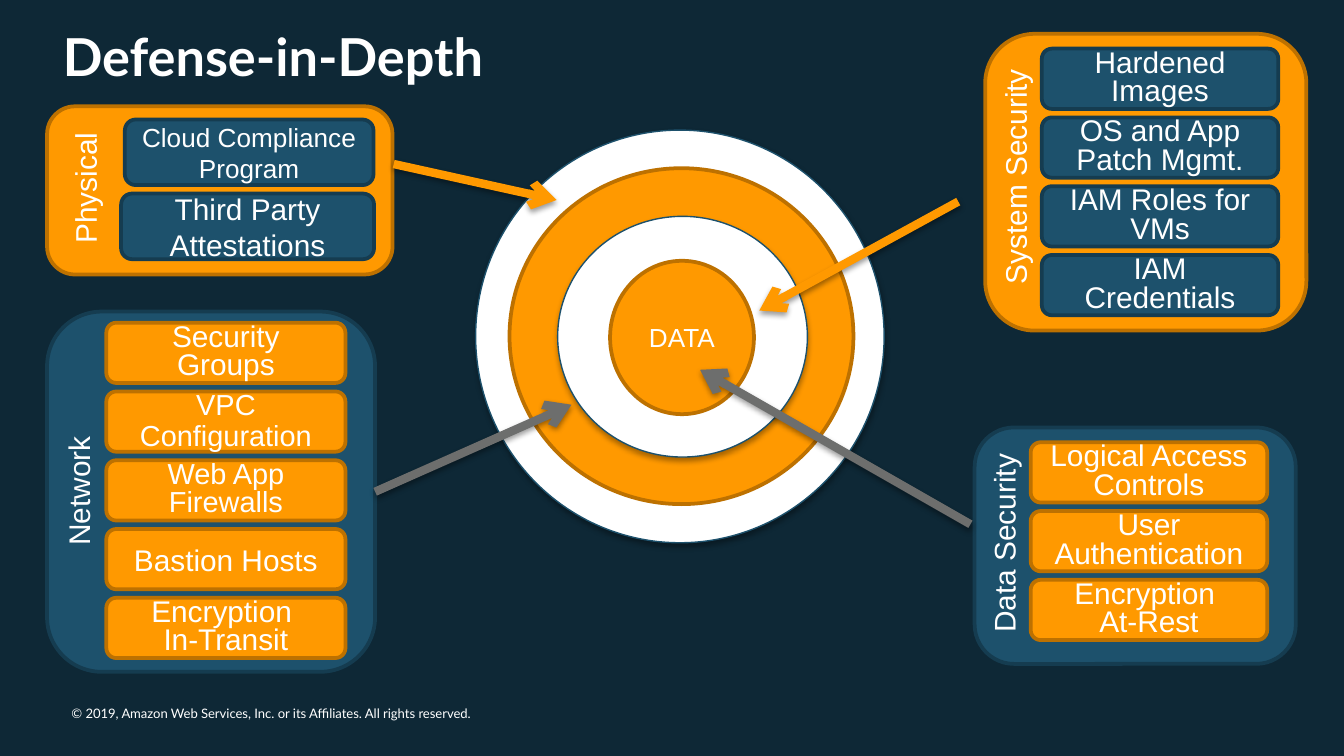
import pptx
import pptx.dml.color
import pptx.enum.shapes
import pptx.enum.text
import pptx.oxml
import pptx.oxml.ns
import pptx.util

Cm = pptx.util.Cm
SHAPE = pptx.enum.shapes.MSO_SHAPE
ANCHOR = pptx.enum.text.MSO_ANCHOR
ALIGN = pptx.enum.text.PP_ALIGN

WHITE = "FFFFFF"
GREY = "6D6E6D"
ORANGE = ("FF9900", "BD7100")
BLUE = ("1D516C", "153C50")
RING = (WHITE, "1D516C")


def rgb(value):
    return pptx.dml.color.RGBColor.from_string(value)


def write(tf, text, size=16, font="Arial", bold=False, align=ALIGN.CENTER,
          anchor=ANCHOR.MIDDLE, spacing=None, inset=None):
    """Fill a text frame; newlines start paragraphs, vertical tabs break lines."""
    tf.word_wrap = True
    tf.vertical_anchor = anchor
    if inset is not None:
        tf.margin_left = tf.margin_right = Cm(inset)
        tf.margin_top = tf.margin_bottom = Cm(inset)
    for i, line in enumerate(text.split("\n")):
        p = tf.add_paragraph() if i else tf.paragraphs[0]
        p.text = line
        p.alignment = align
        if spacing:
            p.line_spacing = spacing
        for r in p.runs:
            r.font.name = font
            r.font.size = pptx.util.Pt(size)
            r.font.bold = bold
            r.font.color.rgb = rgb(WHITE)


def add_shadow(sp, dist, alpha):
    """Give a shape or connector a soft shadow that falls straight down."""
    ns = pptx.oxml.ns.nsdecls("a")
    sp._element.spPr.append(pptx.oxml.parse_xml(
        f'<a:effectLst {ns}><a:outerShdw blurRad="{pptx.util.Pt(3.1)}" '
        f'dist="{pptx.util.Pt(dist)}" dir="5400000" rotWithShape="0">'
        f'<a:srgbClr val="000000"><a:alpha val="{alpha * 1000}"/></a:srgbClr>'
        '</a:outerShdw></a:effectLst>'))


class Diagram:
    """Holds the current slide and draws each kind of element, in centimetres."""

    def __init__(self, s):
        self.s = s

    def shape(self, kind, box, colors, weight=2):
        sp = self.s.shapes.add_shape(kind, *map(Cm, box))
        sp.fill.solid()
        sp.fill.fore_color.rgb = rgb(colors[0])
        sp.line.color.rgb = rgb(colors[1])
        sp.line.width = pptx.util.Pt(weight)
        return sp

    def circle(self, box, colors):
        is_ring = colors == RING
        sp = self.shape(SHAPE.OVAL, box, colors, 0.75 if is_ring else 2)
        if is_ring:
            add_shadow(sp, 1.8, 35)
        else:
            sp.shadow.inherit = False
        return sp

    def rounded(self, box, colors):
        sp = self.shape(SHAPE.ROUNDED_RECTANGLE, box, colors)
        sp.shadow.inherit = False
        return sp

    def button(self, box, colors, text, **fmt):
        write(self.rounded(box, colors).text_frame, text, **fmt)

    def stack(self, x, y, width, colors, items):
        """Draw equally spaced buttons from (text, format) pairs."""
        for i, (text, fmt) in enumerate(items):
            self.button((x, y + 1.3 * i, width, 1.14), colors, text,
                        **{"spacing": 0.8, **fmt})

    def text(self, box, text, rotation=0, **fmt):
        sp = self.s.shapes.add_textbox(*map(Cm, box))
        sp.rotation = rotation
        write(sp.text_frame, text, **fmt)

    def label(self, x, y, width, text, **fmt):
        self.text((x, y, width, 0.94), text, rotation=270, **fmt)

    def arrow(self, start, end, color, source=None):
        """Draw an arrow, joined to the right side of source if given."""
        c = self.s.shapes.add_connector(
            pptx.enum.shapes.MSO_CONNECTOR.STRAIGHT, *map(Cm, start + end))
        if source is not None:
            c.begin_connect(source, 3)
        c.line.color.rgb = rgb(color)
        c.line.width = pptx.util.Pt(4.5)
        c.line._get_or_add_ln().append(pptx.oxml.parse_xml(
            f'<a:tailEnd {pptx.oxml.ns.nsdecls("a")} type="arrow"/>'))
        add_shadow(c, 1.6, 38)


def main():
    prs = pptx.Presentation()
    prs.slide_width, prs.slide_height = Cm(25.4), Cm(14.29)
    s = prs.slides.add_slide(prs.slide_layouts[6])
    s.background.fill.solid()
    s.background.fill.fore_color.rgb = rgb("0E2836")
    d = Diagram(s)
    top_left = {"align": ALIGN.LEFT, "anchor": ANCHOR.TOP}

    d.text((1.35, 13.34, 8.41, 0.3),
           "© 2019, Amazon Web Services, Inc. or its Affiliates. All rights reserved.",
           size=7, font="Lato", inset=0, **top_left)
    d.text((0.94, 0.33, 22.78, 1.52), "Defense-in-Depth",
           size=28, font="Lato", bold=True, **top_left)

    d.circle((8.99, 2.46, 7.72, 7.8), RING)
    d.circle((9.63, 3.18, 6.5, 6.35), ORANGE)
    d.circle((10.54, 4.09, 4.72, 4.55), RING)
    core = d.circle((11.53, 4.93, 2.72, 2.9), ORANGE)
    write(core.text_frame, "DATA", size=14)

    d.rounded((0.89, 2.01, 6.53, 3.18), ORANGE)
    d.button((2.36, 2.26, 4.7, 1.24), BLUE, "Cloud Compliance Program", size=14)
    d.button((2.29, 3.66, 4.78, 1.24), BLUE, "Third Party\nAttestations")
    d.label(0.23, 3, 2.77, "Physical", **top_left)
    d.arrow((7.44, 3.1), (10.52, 3.78), ORANGE[0])

    network = d.rounded((0.89, 5.89, 6.2, 6.81), BLUE)
    d.stack(2.01, 6.1, 4.52, ORANGE, [
        ("Security Groups", {}),
        ("VPC Configuration", {"size": 15.5, "spacing": 0.9}),
        ("Web App Firewalls", {"size": 15.5}),
        ("Bastion Hosts", {"spacing": None}),
        ("Encryption \nIn-Transit", {})])
    d.label(0.1, 8.71, 2.77, "Network", **top_left)
    d.arrow((7.09, 9.3), (10.8, 7.65), GREY, source=network)

    d.rounded((18.62, 0.64, 6.07, 5.61), ORANGE)
    d.stack(19.69, 0.92, 4.47, BLUE, [
        ("Hardened Images", {}),
        ("OS and App\vPatch Mgmt.", {}),
        ("IAM Roles for VMs", {}),
        ("IAM Credentials", {})])
    d.label(16.64, 2.87, 5.08, "System Security")
    d.arrow((18.11, 3.81), (14.35, 5.87), ORANGE[0])

    d.rounded((18.42, 8.08, 6.07, 4.47), BLUE)
    d.stack(19.48, 8.36, 4.47, ORANGE, [
        ("Logical Access Controls", {}),
        ("User Authentication", {}),
        ("Encryption \nAt-Rest", {})])
    d.label(16.43, 9.8, 5.08, "Data Security")
    d.arrow((18.34, 9.91), (13.23, 6.99), GREY)

    prs.save("out.pptx")


if __name__ == "__main__":
    main()
